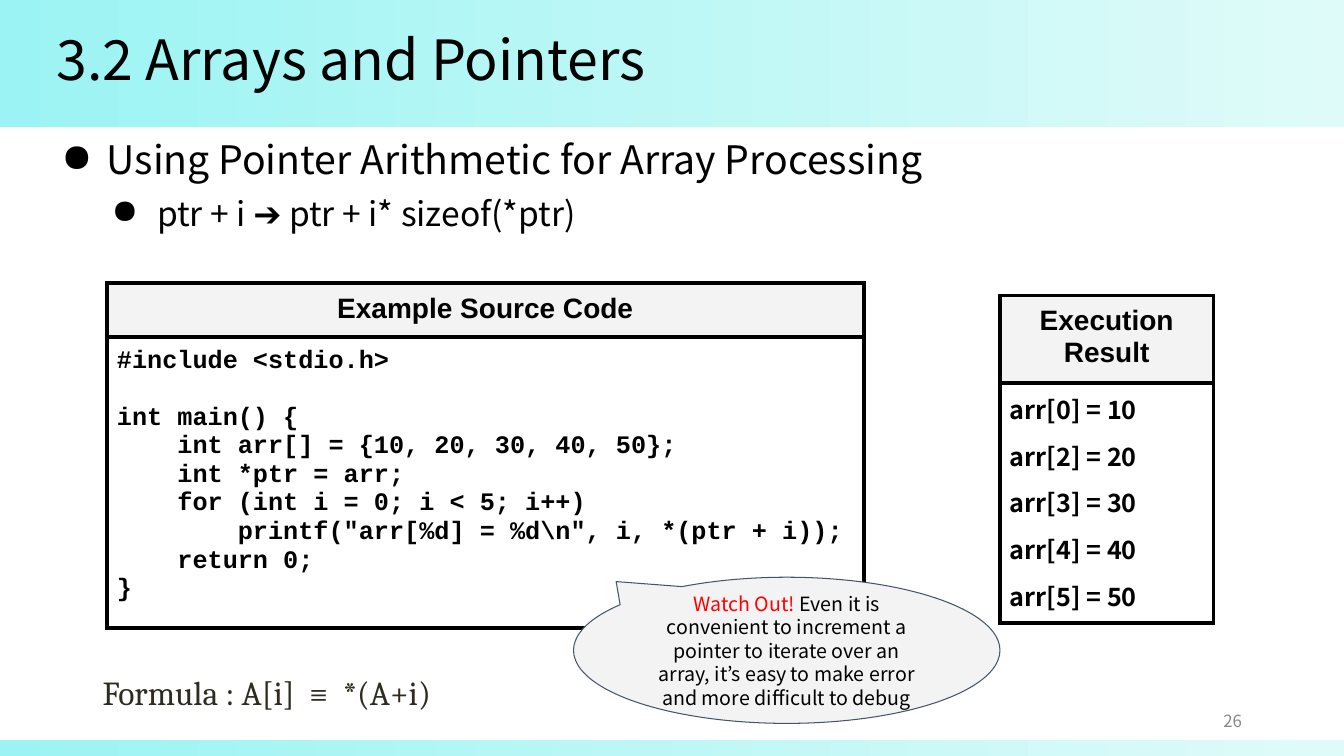
from dataclasses import dataclass

from lxml import etree
from pptx import Presentation
from pptx.dml.color import RGBColor
from pptx.enum.shapes import MSO_SHAPE
from pptx.enum.text import MSO_ANCHOR, MSO_AUTO_SIZE, PP_ALIGN
from pptx.oxml.ns import qn
from pptx.util import Pt

RECT = MSO_SHAPE.RECTANGLE
BUBBLE = MSO_SHAPE.OVAL_CALLOUT
LEFT, MID, RIGHT = PP_ALIGN.LEFT, PP_ALIGN.CENTER, PP_ALIGN.RIGHT
TOP, CENTER = MSO_ANCHOR.TOP, MSO_ANCHOR.MIDDLE
FIXED = MSO_AUTO_SIZE.NONE
TITLE_ONLY = 5


@dataclass(frozen=True)
class Theme:
    # Colours
    ink: str = "000000"
    red: str = "FF0000"
    gray: str = "888888"
    brown: str = "2F2B20"
    pale: str = "F3F3F3"
    edge: str = "44546A"
    aqua: str = "9BF4F3"
    mist: str = "DFFBF9"
    # Fonts
    sans: str = "Noto Sans CJK KR"
    head: str = "Arial"
    mono: str = "Courier New"
    serif: str = "Cambria"
    # Type sizes
    title: float = 39.6
    point: float = 28
    sub: float = 24
    label: float = 20
    code: float = 18
    note: float = 14
    page: float = 12


T = Theme()
WIDE, HIGH = 960, 540
PAD = 7.2
TAB = 43.2     # four characters of code
LINE = 20.4    # one line of code

# Each line of code: indent level, text, empty lines before it
CODE = [
    (0, "#include <stdio.h>", 0),
    (0, "int main() {", 1),
    (1, "int arr[] = {10, 20, 30, 40, 50};", 0),
    (1, "int *ptr = arr;", 0),
    (1, "for (int i = 0; i < 5; i++)", 0),
    (2, 'printf("arr[%d] = %d\\n", i, *(ptr + i));', 0),
    (1, "return 0;", 0),
    (0, "}", 0),
]
RESULT = ["arr[0] = 10", "arr[2] = 20", "arr[3] = 30", "arr[4] = 40", "arr[5] = 50"]


def rgb(hue):
    return RGBColor.from_string(hue)


def add_run(para, text, size, font=T.sans, hue=T.ink, bold=False):
    run = para.add_run()
    run.text = text
    run.font.size, run.font.name, run.font.bold = Pt(size), font, bold
    run.font.color.rgb = rgb(hue)


def next_para(frame, align=LEFT, gap=0, lead=1.0):
    first = frame.paragraphs[0]
    para = frame.add_paragraph() if first.runs else first
    para.alignment, para.line_spacing = align, lead
    para.space_before = Pt(gap)
    return para


def indent(para, left, hang=0):
    props = para._p.get_or_add_pPr()
    props.set("marL", str(Pt(left)))
    props.set("indent", str(Pt(hang)))
    return props


def add_bullet(para, left):
    props = indent(para, left, -32.4)
    tint = etree.SubElement(props, qn("a:buClr"))
    etree.SubElement(tint, qn("a:srgbClr"), val=T.ink)
    etree.SubElement(props, qn("a:buChar"), char="●")


def add_box(slide, left, top, width, height, anchor=TOP):
    box = slide.shapes.add_textbox(Pt(left), Pt(top), Pt(width), Pt(height))
    box.text_frame.word_wrap = True
    box.text_frame.vertical_anchor = anchor
    return box.text_frame


def add_band(slide, top, height):
    band = slide.shapes.add_shape(RECT, 0, Pt(top), Pt(WIDE), Pt(height))
    band.shadow.inherit = False
    band.line.fill.background()
    band.fill.gradient()
    band.fill.gradient_angle = 0
    for stop, hue in zip(band.fill.gradient_stops, (T.aqua, T.mist)):
        stop.color.rgb = rgb(hue)


def add_title(slide, text):
    title = slide.shapes.title
    title.left, title.top, title.width, title.height = map(Pt, (33.1, 19.4, 905.8, 50.4))
    frame = title.text_frame
    frame.auto_size, frame.vertical_anchor = FIXED, CENTER
    add_run(next_para(frame, lead=0.9), text, T.title)
    # Bring the title in front of the bands
    title.element.getparent().append(title.element)


def set_border(cell):
    props = cell._tc.get_or_add_tcPr()
    for index, side in enumerate(("lnL", "lnR", "lnT", "lnB")):
        line = etree.Element(qn("a:" + side), w=str(Pt(3)))
        fill = etree.SubElement(line, qn("a:solidFill"))
        etree.SubElement(fill, qn("a:srgbClr"), val=T.ink)
        props.insert(index, line)


def add_panel(slide, left, top, width, rows, label):
    """Add a table of a shaded heading over one cell; return the lower text."""
    item = slide.shapes.add_table(2, 1, Pt(left), Pt(top), Pt(width), Pt(sum(rows)))
    table = item.table
    table.first_row = table.horz_banding = False
    for index, height in enumerate(rows):
        table.rows[index].height = Pt(height)
        cell = table.cell(index, 0)
        cell.margin_left = cell.margin_right = Pt(PAD)
        cell.margin_top = cell.margin_bottom = Pt(PAD)
        set_border(cell)
    top_cell, low_cell = table.cell(0, 0), table.cell(1, 0)
    top_cell.fill.solid()
    top_cell.fill.fore_color.rgb = rgb(T.pale)
    low_cell.fill.background()
    add_run(next_para(top_cell.text_frame, MID), label, T.label, T.head, bold=True)
    return low_cell.text_frame


def add_bubble(slide, left, top, width, height, parts):
    shape = slide.shapes.add_shape(BUBBLE, Pt(left), Pt(top), Pt(width), Pt(height))
    shape.shadow.inherit = False
    shape.adjustments[0], shape.adjustments[1] = -0.4, -0.47
    shape.fill.solid()
    shape.fill.fore_color.rgb = rgb(T.pale)
    shape.line.color.rgb = rgb(T.edge)
    shape.line.width = Pt(0.75)
    frame = shape.text_frame
    frame.word_wrap, frame.vertical_anchor = True, CENTER
    frame.margin_left = frame.margin_right = Pt(PAD)
    frame.margin_top = frame.margin_bottom = Pt(PAD)
    para = next_para(frame, MID)
    for text, hue in parts:
        add_run(para, text, T.note, hue=hue)


def main():
    deck = Presentation()
    deck.slide_width, deck.slide_height = Pt(WIDE), Pt(HIGH)
    slide = deck.slides.add_slide(deck.slide_layouts[TITLE_ONLY])

    # Bands and title
    add_band(slide, 528.5, 11.5)
    add_band(slide, 0, 90.7)
    add_title(slide, "3.2 Arrays and Pointers")

    # Bullet points
    body = add_box(slide, 33.1, 97.2, 828, 90.7)
    for text, size, left in (
        ("Using Pointer Arithmetic for Array Processing", T.point, 36),
        ("ptr + i ➔ ptr + i* sizeof(*ptr)", T.sub, 72),
    ):
        para = next_para(body, gap=10, lead=0.9)
        add_bullet(para, left)
        add_run(para, text, size)

    # Page number
    page = add_box(slide, 678.2, 500.4, 216, 28.8, CENTER)
    add_run(next_para(page, RIGHT), "26", T.page, hue=T.gray)

    # Source code
    code = add_panel(slide, 76.3, 202.3, 540.7, (36.7, 197.6), "Example Source Code")
    for level, text, skip in CODE:
        para = next_para(code, gap=skip * LINE)
        indent(para, level * TAB)
        add_run(para, text, T.code, T.mono, bold=True)

    # Output of the program
    result = add_panel(slide, 714.2, 211, 152.6, (59.3, 171.4), "Execution Result")
    for text in RESULT:
        add_run(next_para(result, gap=10, lead=0.9), text, T.code, bold=True)

    # Warning and formula
    add_bubble(slide, 409.7, 412.3, 304.6, 104.4, (
        ("Watch Out!", T.red),
        (" Even it is convenient to increment a pointer to iterate over an array, "
         "it’s easy to make error and more difficult to debug", T.ink),
    ))
    rule = add_box(slide, 66.2, 476.6, 259.2, 36)
    add_run(next_para(rule), "Formula : A[i]  ≡  *(A+i)", T.sub, T.serif, T.brown)

    deck.save("out.pptx")


if __name__ == "__main__":
    main()
